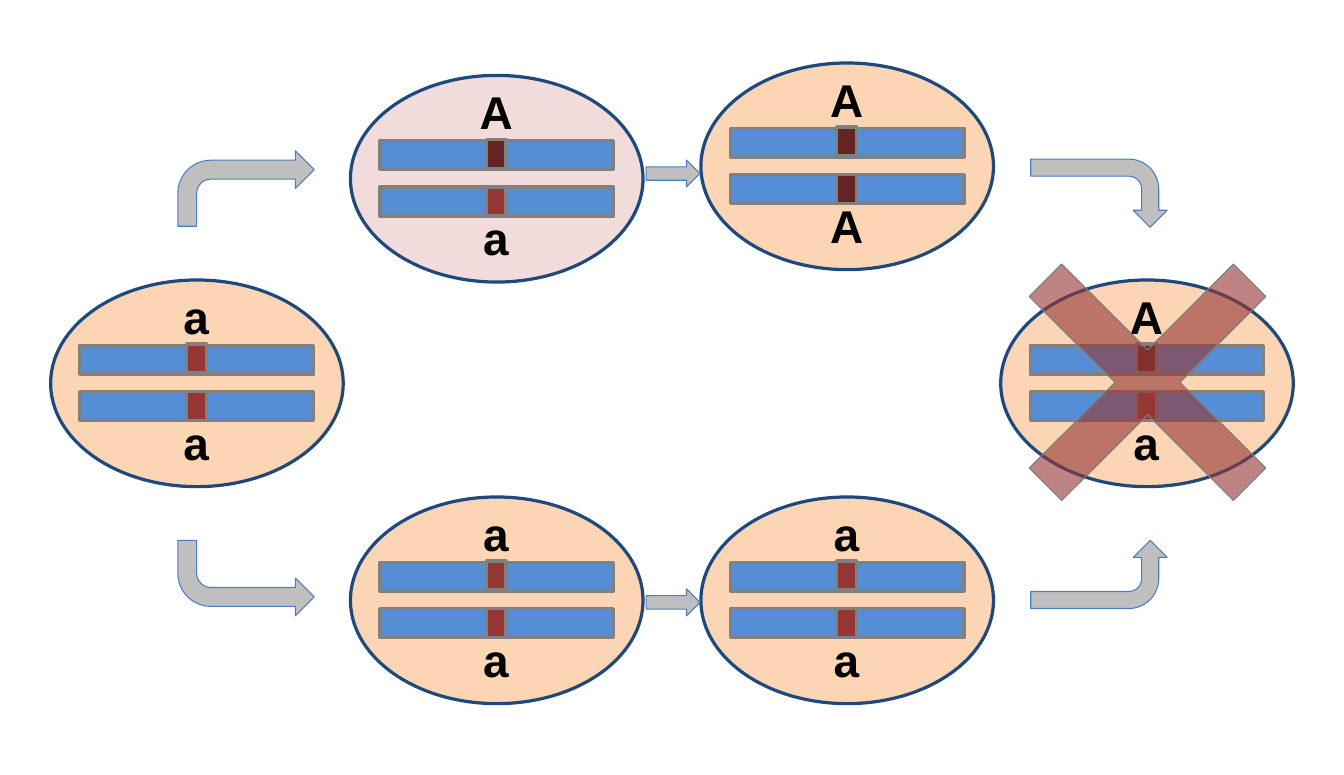
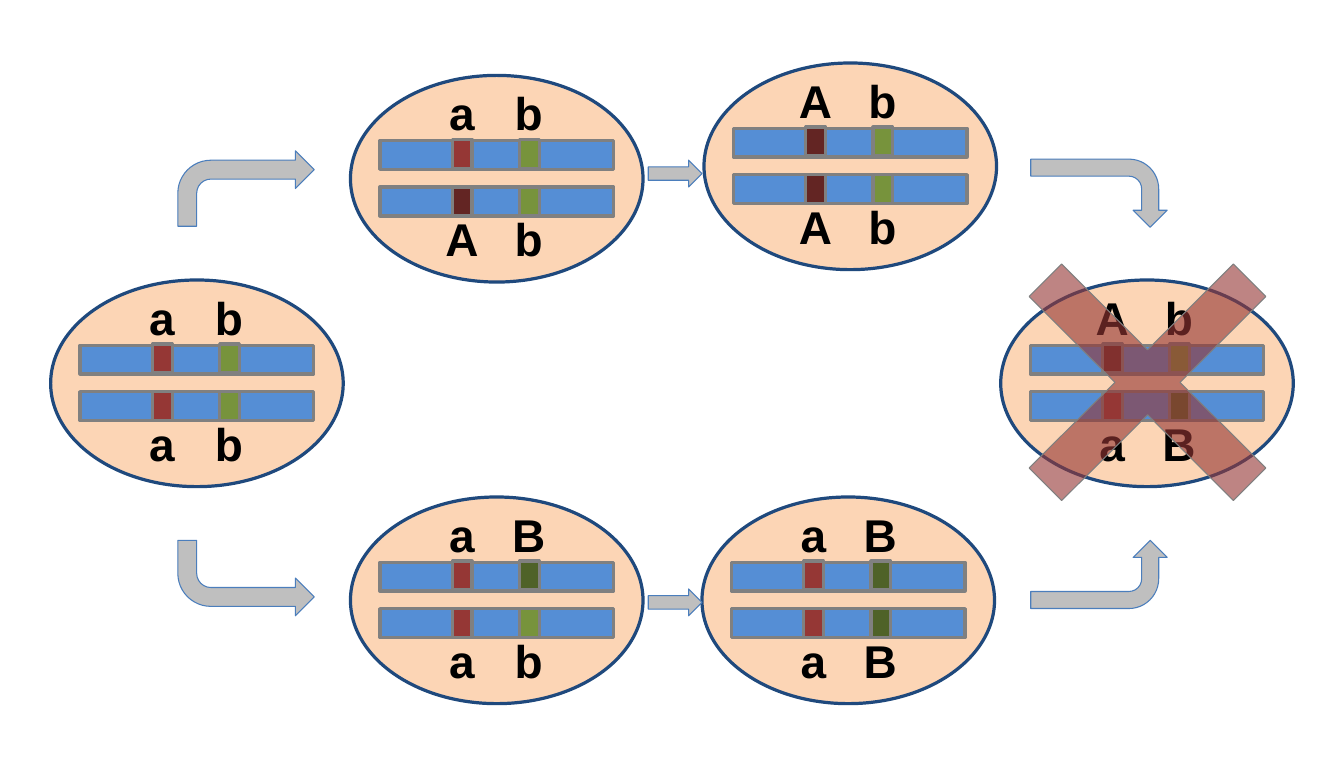
from lxml import etree
from pptx import Presentation
from pptx.dml.color import RGBColor
from pptx.enum.shapes import MSO_SHAPE
from pptx.enum.text import MSO_AUTO_SIZE
from pptx.oxml.ns import qn
from pptx.util import Inches, Pt

OVAL = MSO_SHAPE.OVAL
BAR = MSO_SHAPE.RECTANGLE
BENT_ARROW = MSO_SHAPE.BENT_ARROW
RIGHT_ARROW = MSO_SHAPE.RIGHT_ARROW
CROSS = MSO_SHAPE.MATH_MULTIPLY
FIT_TEXT = MSO_AUTO_SIZE.SHAPE_TO_FIT_TEXT

COLORS = {
    "cell": "FCD5B5",
    "pale cell": "F2DCDB",
    "cell edge": "1F497D",
    "chromosome": "558ED5",
    "chromosome edge": "808080",
    "arrow": "BFBFBF",
    "arrow edge": "4B7EBC",
    "cross": "953735",
    "cross edge": "7F7F7F",
    "label": "000000",
    # alleles
    "a": "953735",
    "A": "632523",
    "b": "77933C",
    "B": "4F6228",
}
LABEL_WIDTHS = {"a": 0.45, "A": 0.52, "b": 0.48, "B": 0.53}
LABEL_HEIGHT = 0.64

CELL_SIZE = (2.83, 2)
CHROMOSOME_SIZE = (2.26, 0.28)
LOCUS_SIZE = (0.19, 0.28)
CHROMOSOME_LEFT = 0.285
CHROMOSOME_TOPS = (0.63, 1.08)
LOCUS_TOPS = (0.62, 1.08)

# left, top, width, height, rotation, flipped
BENT_ARROWS = [
    (1.72, 1.46, 1.32, 0.73, 0, False),
    (1.72, 5.23, 1.32, 0.73, 0, True),
    (10.3, 1.21, 0.66, 1.32, 90, False),
    (10.3, 4.9, 0.66, 1.32, 270, True),
]
STEP_ARROW_TOPS = (1.55, 5.7)

# Each cell: left, top, fill, alleles of the upper and lower chromosome.
# Locus centres and label tops are measured from the cell's corner.
PATHWAYS = [
    {
        "locus centres": [1.41],
        "label tops": (0.03, 1.25),
        "step arrow left": 6.25,
        "cells": [
            (0.49, 2.71, "cell", ("a", "a")),
            (9.68, 2.71, "cell", ("A", "a")),
            (3.39, 0.73, "pale cell", ("A", "a")),
            (6.78, 0.61, "cell", ("A", "A")),
            (3.39, 4.81, "cell", ("a", "a")),
            (6.78, 4.81, "cell", ("a", "a")),
        ],
    },
    {
        "locus centres": [1.08, 1.73],
        "label tops": (0.04, 1.26),
        "step arrow left": 6.27,
        "cells": [
            (0.49, 2.71, "cell", ("ab", "ab")),
            (9.68, 2.71, "cell", ("Ab", "aB")),
            (3.39, 0.73, "cell", ("ab", "Ab")),
            (6.81, 0.61, "cell", ("Ab", "Ab")),
            (3.39, 4.81, "cell", ("aB", "ab")),
            (6.79, 4.81, "cell", ("aB", "aB")),
        ],
    },
]


def add_figure(slide, preset, left, top, size, fill, edge, edge_width):
    width, height = size
    figure = slide.shapes.add_shape(
        preset, Inches(left), Inches(top), Inches(width), Inches(height))
    figure.shadow.inherit = False
    figure.fill.solid()
    figure.fill.fore_color.rgb = RGBColor.from_string(COLORS[fill])
    figure.line.color.rgb = RGBColor.from_string(COLORS[edge])
    figure.line.width = Pt(edge_width)
    return figure


def add_allele_label(slide, allele, centre, top):
    width = LABEL_WIDTHS[allele]
    label = slide.shapes.add_textbox(
        Inches(centre - width / 2), Inches(top), Inches(width), Inches(LABEL_HEIGHT))
    frame = label.text_frame
    frame.word_wrap = False
    frame.auto_size = FIT_TEXT
    frame.text = allele
    font = frame.paragraphs[0].font
    font.name = "Arial"
    font.size = Pt(32)
    font.bold = True
    font.color.rgb = RGBColor.from_string(COLORS["label"])


prs = Presentation()
prs.slide_width = Inches(13)
prs.slide_height = Inches(7.5)
blank = prs.slide_layouts[6]

for pathway in PATHWAYS:
    slide = prs.slides.add_slide(blank)

    for left, top, fill, genotype in pathway["cells"]:
        add_figure(slide, OVAL, left, top, CELL_SIZE, fill, "cell edge", 2.25)
        rows = zip(genotype, CHROMOSOME_TOPS, LOCUS_TOPS, pathway["label tops"])
        for alleles, bar_top, locus_top, label_top in rows:
            add_figure(slide, BAR, left + CHROMOSOME_LEFT, top + bar_top,
                       CHROMOSOME_SIZE, "chromosome", "chromosome edge", 2.25)
            for allele, centre in zip(alleles, pathway["locus centres"]):
                add_figure(slide, BAR, left + centre - LOCUS_SIZE[0] / 2,
                           top + locus_top, LOCUS_SIZE, allele,
                           "chromosome edge", 2.25)
                add_allele_label(slide, allele, left + centre, top + label_top)

    for left, top, width, height, rotation, flipped in BENT_ARROWS:
        arrow = add_figure(slide, BENT_ARROW, left, top, (width, height),
                           "arrow", "arrow edge", 0.75)
        arrow.rotation = rotation
        if flipped:
            arrow._element.spPr.find(qn("a:xfrm")).set("flipV", "1")

    for top in STEP_ARROW_TOPS:
        add_figure(slide, RIGHT_ARROW, pathway["step arrow left"], top,
                   (0.52, 0.26), "arrow", "arrow edge", 0.75)

    cross = add_figure(slide, CROSS, 9.2, 1.8, (3.8, 3.8), "cross", "cross edge", 0.75)
    cross.adjustments[0] = 0.117
    cross_color = cross._element.spPr.find(qn("a:solidFill")).find(qn("a:srgbClr"))
    etree.SubElement(cross_color, qn("a:alpha")).set("val", "61000")

prs.save("out.pptx")
